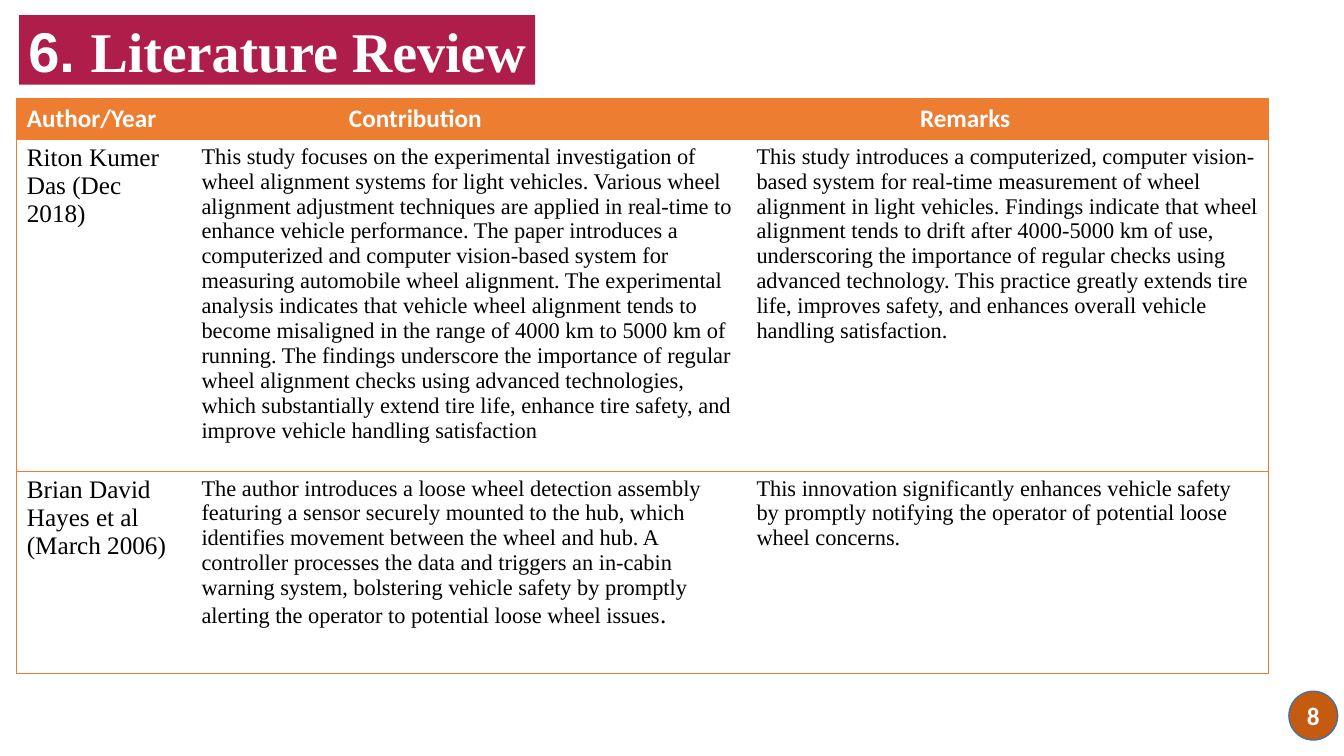
from lxml import etree
from pptx import Presentation
from pptx import util as u
from pptx.dml.color import RGBColor
from pptx.enum import shapes, text
from pptx.oxml.ns import qn

COLORS = {"crimson": "AF1D4A", "orange": "ED7D31", "rust": "C55A11",
          "blue": "43739E", "white": "FFFFFF", "black": "000000"}
SERIF, SANS = "Times New Roman", "Calibri"
NO_STYLE = "{2D5ABB26-0587-4C30-8999-92F81FD0307C}"


def add_text(p, words, size=16, font=SERIF, color="black", bold=False):
    r = p.add_run()
    r.text = words
    r.font.size, r.font.name, r.font.bold = u.Pt(size), font, bold
    r.font.color.rgb = RGBColor.from_string(COLORS[color])


def add_border(cell, side):
    ln = etree.SubElement(cell._tc.get_or_add_tcPr(), qn("a:ln" + side), w=str(u.Pt(0.5)))
    fill = etree.SubElement(ln, qn("a:solidFill"))
    etree.SubElement(fill, qn("a:srgbClr"), val=COLORS["orange"])


prs = Presentation()
prs.slide_width, prs.slide_height = u.Pt(960), u.Pt(540)
s = prs.slides.add_slide(prs.slide_layouts[5])

# Title
title = s.shapes.title
title.left, title.top, title.width, title.height = u.Pt(13.7), u.Pt(10.8), u.Pt(368.6), u.Pt(49.7)
title.fill.solid()
title.fill.fore_color.rgb = RGBColor.from_string(COLORS["crimson"])
tf = title.text_frame
tf.margin_left = tf.margin_right = tf.margin_bottom = 0
tf.margin_top = u.Pt(1)
tf.word_wrap = False
tf.auto_size = text.MSO_AUTO_SIZE.NONE
tf.vertical_anchor = text.MSO_ANCHOR.MIDDLE
p = tf.paragraphs[0]
p.alignment = text.PP_ALIGN.CENTER
p.line_spacing = 1.0
p.space_before = u.Pt(1)
add_text(p, "6. ", size=40, font="Arial", color="white", bold=True)
add_text(p, "Literature Review", size=40, color="white", bold=True)

# Page number
sp = s.shapes.add_shape(shapes.MSO_SHAPE.OVAL, u.Pt(920.7), u.Pt(493.8), u.Pt(34.8), u.Pt(34.8))
sp.shadow.inherit = False
sp.fill.solid()
sp.fill.fore_color.rgb = RGBColor.from_string(COLORS["rust"])
sp.line.color.rgb = RGBColor.from_string(COLORS["blue"])
sp.line.width = u.Pt(1)
tf = sp.text_frame
tf.word_wrap = False
tf.vertical_anchor = text.MSO_ANCHOR.MIDDLE
tf.paragraphs[0].alignment = text.PP_ALIGN.CENTER
add_text(tf.paragraphs[0], "8", size=18, font=SANS, color="white", bold=True)

# Literature table
headers = ["Author/Year", "Contribution", "Remarks"]
header_indents = [7.2, 112.5, 124]
studies = [
    ["Riton Kumer Das (Dec 2018)",
     "This study focuses on the experimental investigation of wheel alignment systems for "
     "light vehicles. Various wheel alignment adjustment techniques are applied in real-time "
     "to enhance vehicle performance. The paper introduces a computerized and computer "
     "vision-based system for measuring automobile wheel alignment. The experimental analysis "
     "indicates that vehicle wheel alignment tends to become misaligned in the range of "
     "4000 km to 5000 km of running. The findings underscore the importance of regular wheel "
     "alignment checks using advanced technologies, which substantially extend tire life, "
     "enhance tire safety, and improve vehicle handling satisfaction",
     "This study introduces a computerized, computer vision-based system for real-time "
     "measurement of wheel alignment in light vehicles. Findings indicate that wheel alignment "
     "tends to drift after 4000-5000 km of use, underscoring the importance of regular checks "
     "using advanced technology. This practice greatly extends tire life, improves safety, and "
     "enhances overall vehicle handling satisfaction."],
    ["Brian David Hayes et al (March 2006)",
     "The author introduces a loose wheel detection assembly featuring a sensor securely "
     "mounted to the hub, which identifies movement between the wheel and hub. A controller "
     "processes the data and triggers an in-cabin warning system, bolstering vehicle safety by "
     "promptly alerting the operator to potential loose wheel issues",
     "This innovation significantly enhances vehicle safety by promptly notifying the operator "
     "of potential loose wheel concerns."],
]
widths, heights = [124.8, 396.4, 373], [29.3, 237, 144.5]
frame = s.shapes.add_table(3, 3, u.Pt(12), u.Pt(70.2), u.Pt(sum(widths)), u.Pt(sum(heights)))
table = frame.table
table._tbl.tblPr.find(qn("a:tableStyleId")).text = NO_STYLE
for column, width in zip(table.columns, widths):
    column.width = u.Pt(width)
for row, height in zip(table.rows, heights):
    row.height = u.Pt(height)

for i, row in enumerate([headers] + studies):
    for j, words in enumerate(row):
        cell = table.cell(i, j)
        if j == 0:
            add_border(cell, "L")
        if j == 2:
            add_border(cell, "R")
        for side in "TB":
            add_border(cell, side)
        p = cell.text_frame.paragraphs[0]
        if i == 0:
            cell.fill.solid()
            cell.fill.fore_color.rgb = RGBColor.from_string(COLORS["orange"])
            cell.margin_left = u.Pt(header_indents[j])
            add_text(p, words, size=18, font=SANS, color="white", bold=True)
        else:
            cell.fill.background()
            add_text(p, words, size=18 if j == 0 else 16)
add_text(table.cell(2, 1).text_frame.paragraphs[0], ".", size=18)

prs.save("out.pptx")
